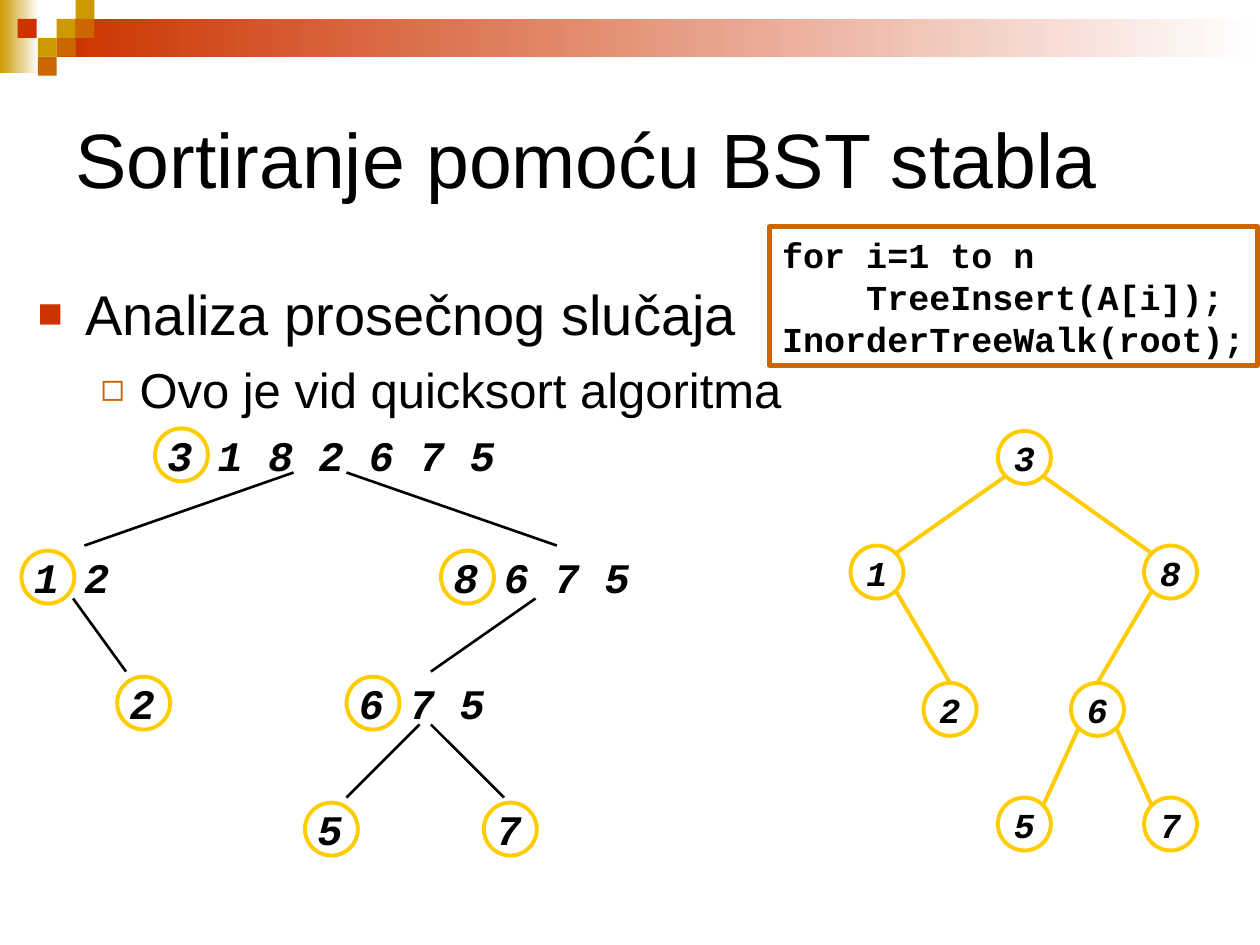
from lxml import etree
from pptx import Presentation
from pptx.dml.color import RGBColor
from pptx.enum.shapes import MSO_CONNECTOR, MSO_SHAPE
from pptx.enum.text import MSO_ANCHOR, MSO_AUTO_SIZE, PP_ALIGN
from pptx.oxml.ns import qn
from pptx.util import Inches, Pt

RECTANGLE, OVAL = MSO_SHAPE.RECTANGLE, MSO_SHAPE.OVAL
STRAIGHT = MSO_CONNECTOR.STRAIGHT
MIDDLE = MSO_ANCHOR.MIDDLE
LEFT, CENTER = PP_ALIGN.LEFT, PP_ALIGN.CENTER

COLORS = {
    name: RGBColor.from_string(value)
    for name, value in {
        "black": "000000",
        "white": "FFFFFF",
        "red": "CC3300",
        "orange": "CC6600",
        "gold": "CC9900",
        "yellow": "FFCC00",
    }.items()
}
HEADING = {"name": "Arial", "size": Pt(44)}
CODE = {"name": "Courier New", "size": Pt(20), "bold": True}
NODE = {**CODE, "italic": True}
LIST_LABEL = {**NODE, "size": Pt(24)}
RING = 0.42


def write_lines(shape, lines, font_format, alignment=LEFT, wrap=False):
    frame = shape.text_frame
    frame.word_wrap = wrap
    frame.auto_size = MSO_AUTO_SIZE.NONE
    frame.vertical_anchor = MIDDLE
    for index, line in enumerate(lines):
        paragraph = frame.paragraphs[0] if index == 0 else frame.add_paragraph()
        paragraph.text = line
        paragraph.alignment = alignment
        for attribute, value in font_format.items():
            setattr(paragraph.font, attribute, value)
        paragraph.font.color.rgb = COLORS["black"]


def add_line(start, end, color, width):
    points = [Inches(value) for value in (*start, *end)]
    line = slide.shapes.add_connector(STRAIGHT, *points)
    line.line.color.rgb = COLORS[color]
    line.line.width = Pt(width)
    etree.SubElement(line._element.spPr, qn("a:effectLst"))


presentation = Presentation()
presentation.slide_width = Inches(10)
presentation.slide_height = Inches(7.5)
slide = presentation.slides.add_slide(presentation.slide_layouts[5])

# Header bands and squares
header = [
    (0, 0, 0.31, 0.58, "gold", True),
    (0.45, 0.15, 9.55, 0.3, "red", True),
]
for left, top, color in [
    (0.45, 0.15, "gold"), (0.6, 0, "gold"), (0.6, 0.15, "orange"),
    (0.3, 0.3, "gold"), (0.14, 0.15, "red"), (0.45, 0.3, "orange"),
    (0.3, 0.45, "orange"),
]:
    header.append((left, top, 0.15, 0.15, color, False))
for *box, color, fades in header:
    shape = slide.shapes.add_shape(RECTANGLE, *[Inches(value) for value in box])
    shape.shadow.inherit = False
    shape.line.fill.background()
    if fades:
        shape.fill.gradient()
        shape.fill.gradient_angle = 0
        for stop, stop_color in zip(shape.fill.gradient_stops, (color, "white")):
            stop.color.rgb = COLORS[stop_color]
    else:
        shape.fill.solid()
        shape.fill.fore_color.rgb = COLORS[color]

# Title
title = slide.shapes.title
title.left, title.top = Inches(0.5), Inches(0.5)
title.width, title.height = Inches(9), Inches(1.5)
write_lines(title, ["Sortiranje pomoću BST stabla"], HEADING, wrap=True)

# Bulleted text
body = slide.shapes.add_textbox(Inches(0.2), Inches(2.17), Inches(9), Inches(4.25))
body.text_frame.word_wrap = True
bullets = [
    ("Analiza prosečnog slučaja", 32, 0, 0.38, 0.38, "■", "red", 75),
    ("Ovo je vid quicksort algoritma", 28, 7, 0.81, 0.31, "◻", "orange", 80),
]
for level, (text, size, space, margin, hanging, mark, color, percent) in enumerate(bullets):
    paragraph = body.text_frame.paragraphs[0] if level == 0 else body.text_frame.add_paragraph()
    paragraph.text = text
    paragraph.level = level
    paragraph.space_before = Pt(space)
    properties = paragraph._p.get_or_add_pPr()
    properties.set("marL", str(Inches(margin)))
    properties.set("indent", str(-Inches(hanging)))
    bullet_color = etree.SubElement(properties, qn("a:buClr"))
    etree.SubElement(bullet_color, qn("a:srgbClr"), val=str(COLORS[color]))
    etree.SubElement(properties, qn("a:buSzPct"), val=str(percent * 1000))
    etree.SubElement(properties, qn("a:buFont"), typeface="Arial")
    etree.SubElement(properties, qn("a:buChar"), char=mark)
    paragraph.font.name = "Arial"
    paragraph.font.size = Pt(size)
    paragraph.font.color.rgb = COLORS["black"]

# Code box
code_box = slide.shapes.add_shape(
    RECTANGLE, Inches(6.11), Inches(1.8), Inches(3.87), Inches(1.1))
code_box.shadow.inherit = False
code_box.fill.background()
code_box.line.color.rgb = COLORS["orange"]
code_box.line.width = Pt(3)
code_lines = ["for i=1 to n", "    TreeInsert(A[i]);", "InorderTreeWalk(root);"]
write_lines(code_box, code_lines, CODE)

# Quicksort partitions: the pivot, first in each list, gets a ring
rings = []
partitions = [
    ("3 1 8 2 6 7 5", 1.23, 3.36), ("1 2", 0.17, 4.33), ("8 6 7 5", 3.5, 4.33),
    ("2", 0.93, 5.33), ("6 7 5", 2.75, 5.33), ("5", 2.42, 6.33), ("7", 3.84, 6.33),
]
for text, left, top in partitions:
    width = 0.2 * len(text) + 0.2
    label = slide.shapes.add_textbox(Inches(left), Inches(top), Inches(width), Inches(0.5))
    write_lines(label, [text], LIST_LABEL)
    rings.append((left, top + 0.04, None))

for start, end in [
    ((2.33, 3.75), (0.67, 4.33)), ((2.75, 3.75), (4.42, 4.33)),
    ((0.58, 4.75), (1, 5.33)), ((4.25, 4.75), (3.42, 5.33)),
    ((3.33, 5.75), (2.75, 6.33)), ((3.42, 5.75), (4, 6.33)),
]:
    add_line(start, end, "black", 1.5)

# Binary search tree: edges run between the diagonal points of the rings,
# and into the top of the rings on the third level
tree = {
    "3": (7.92, 3.42), "1": (6.75, 4.33), "8": (9.08, 4.33),
    "2": (7.33, 5.42), "6": (8.5, 5.42), "5": (7.92, 6.33), "7": (9.08, 6.33),
}
near, far = 0.06, RING - 0.06
for parent, child in ["31", "38", "12", "86", "65", "67"]:
    (parent_left, parent_top), (child_left, child_top) = tree[parent], tree[child]
    goes_right = child_left > parent_left
    start = (parent_left + (far if goes_right else near), parent_top + far)
    end = (child_left + (near if goes_right else far), child_top + near)
    if child in "26":
        end = (child_left + RING / 2, child_top)
    add_line(start, end, "yellow", 2.25)

# Rings of both diagrams
rings += [(left, top, key) for key, (left, top) in tree.items()]
for left, top, key in rings:
    ring = slide.shapes.add_shape(
        OVAL, Inches(left), Inches(top), Inches(RING), Inches(RING))
    ring.shadow.inherit = False
    ring.fill.background()
    ring.line.color.rgb = COLORS["yellow"]
    ring.line.width = Pt(2.25)
    if key:
        write_lines(ring, [key], NODE, CENTER)

presentation.save("out.pptx")
